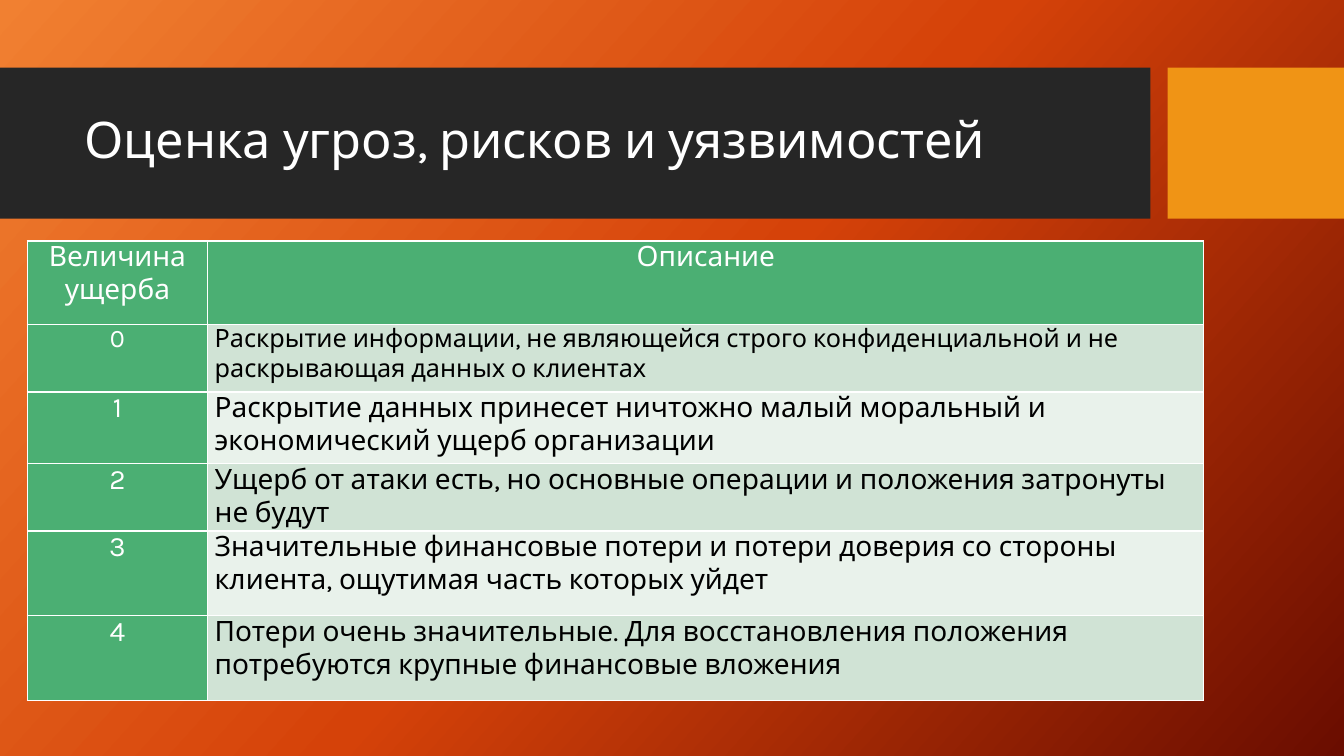
from copy import deepcopy

from lxml import etree
from pptx import Presentation
from pptx import util as u
from pptx.dml.color import RGBColor
from pptx.enum import shapes, text
from pptx.oxml import ns

WHITE = RGBColor(0xFF, 0xFF, 0xFF)
BLACK = RGBColor(0, 0, 0)
CHARCOAL = RGBColor(0x26, 0x26, 0x26)
AMBER = RGBColor(0xF0, 0x94, 0x15)
GREEN = RGBColor(0x4B, 0xAF, 0x73)
BANDS = [RGBColor(0xD0, 0xE3, 0xD5), RGBColor(0xE9, 0xF2, 0xEB)]
BACKDROP = [
    (0, RGBColor(0xF1, 0x80, 0x31)),
    (0.5, RGBColor(0xD5, 0x42, 0x09)),
    (1, RGBColor(0x6A, 0x0D, 0x00)),
]
FONT = "Karla"


def write(para, words, size, color):
    para.text = words
    for span in para.runs:
        span.font.name = FONT
        span.font.size = u.Pt(size)
        span.font.color.rgb = color


def outline_cell(cell):
    props = cell._tc.get_or_add_tcPr()
    for index, side in enumerate(("lnL", "lnR", "lnT", "lnB")):
        line = etree.Element(ns.qn("a:" + side), w=str(u.Pt(1)))
        fill = etree.SubElement(line, ns.qn("a:solidFill"))
        etree.SubElement(fill, ns.qn("a:srgbClr"), val=str(WHITE))
        props.insert(index, line)


deck = Presentation()
deck.slide_width, deck.slide_height = u.Inches(13.33), u.Inches(7.5)
page = deck.slides.add_slide(deck.slide_layouts[6])

# Background: three-stop diagonal gradient
backdrop = page.background.fill
backdrop.gradient()
backdrop.gradient_angle = 360 - 42
stop_list = next(page.element.iter(ns.qn("a:gsLst")))
stop_list.append(deepcopy(stop_list[-1]))
for stop, (position, color) in zip(backdrop.gradient_stops, BACKDROP):
    stop.position = position
    stop.color.rgb = color

# Title band and accent block
for left, width, color in [(0, 11.41, CHARCOAL), (11.58, 1.75, AMBER)]:
    box = page.shapes.add_shape(
        shapes.MSO_SHAPE.RECTANGLE,
        u.Inches(left), u.Inches(0.67), u.Inches(width), u.Inches(1.5))
    box.shadow.inherit = False
    box.fill.solid()
    box.fill.fore_color.rgb = color
    box.line.fill.background()

# Title
title = page.shapes.add_textbox(
    u.Inches(0.74), u.Inches(0.82), u.Inches(10.51), u.Inches(1.18)).text_frame
title.word_wrap = True
title.vertical_anchor = text.MSO_ANCHOR.MIDDLE
write(title.paragraphs[0], "Оценка угроз, рисков и уязвимостей", 36, WHITE)
title.paragraphs[0].line_spacing = 0.9

# Damage scale: level, description, row height, level size, description size
rows = [
    ("Величина\vущерба", "Описание", 0.83, 20, 20),
    ("0", "Раскрытие информации, не являющейся строго конфиденциальной и не "
          "раскрывающая данных о клиентах", 0.67, 18, 18),
    ("1", "Раскрытие данных принесет ничтожно малый моральный и "
          "экономический ущерб организации", 0.71, 20, 20),
    ("2", "Ущерб от атаки есть, но основные операции и положения затронуты "
          "не будут", 0.42, 20, 20),
    ("3", "Значительные финансовые потери и потери доверия со стороны "
          "клиента, ощутимая часть которых уйдет", 0.84, 20, 20),
    ("4", "Потери очень значительные. Для восстановления положения "
          "потребуются крупные финансовые вложения", 0.84, 20, 20),
]
widths = [1.79, 9.88]
table = page.shapes.add_table(
    len(rows), len(widths), u.Inches(0.27), u.Inches(2.39),
    u.Inches(sum(widths)), u.Inches(sum(row[2] for row in rows))).table
for column, width in zip(table.columns, widths):
    column.width = u.Inches(width)

for r, (level, description, height, *sizes) in enumerate(rows):
    table.rows[r].height = u.Inches(height)
    for c, words in enumerate((level, description)):
        cell = table.cell(r, c)
        heading = r == 0 or c == 0
        cell.margin_left = cell.margin_right = u.Inches(0.07)
        cell.margin_top = cell.margin_bottom = 0
        cell.fill.solid()
        cell.fill.fore_color.rgb = GREEN if heading else BANDS[(r - 1) % 2]
        outline_cell(cell)
        para = cell.text_frame.paragraphs[0]
        write(para, words, sizes[c], WHITE if heading else BLACK)
        para.alignment = text.PP_ALIGN.CENTER if heading else text.PP_ALIGN.LEFT
table.cell(0, 1).text_frame.paragraphs[0].space_before = u.Pt(6)

deck.save("out.pptx")
